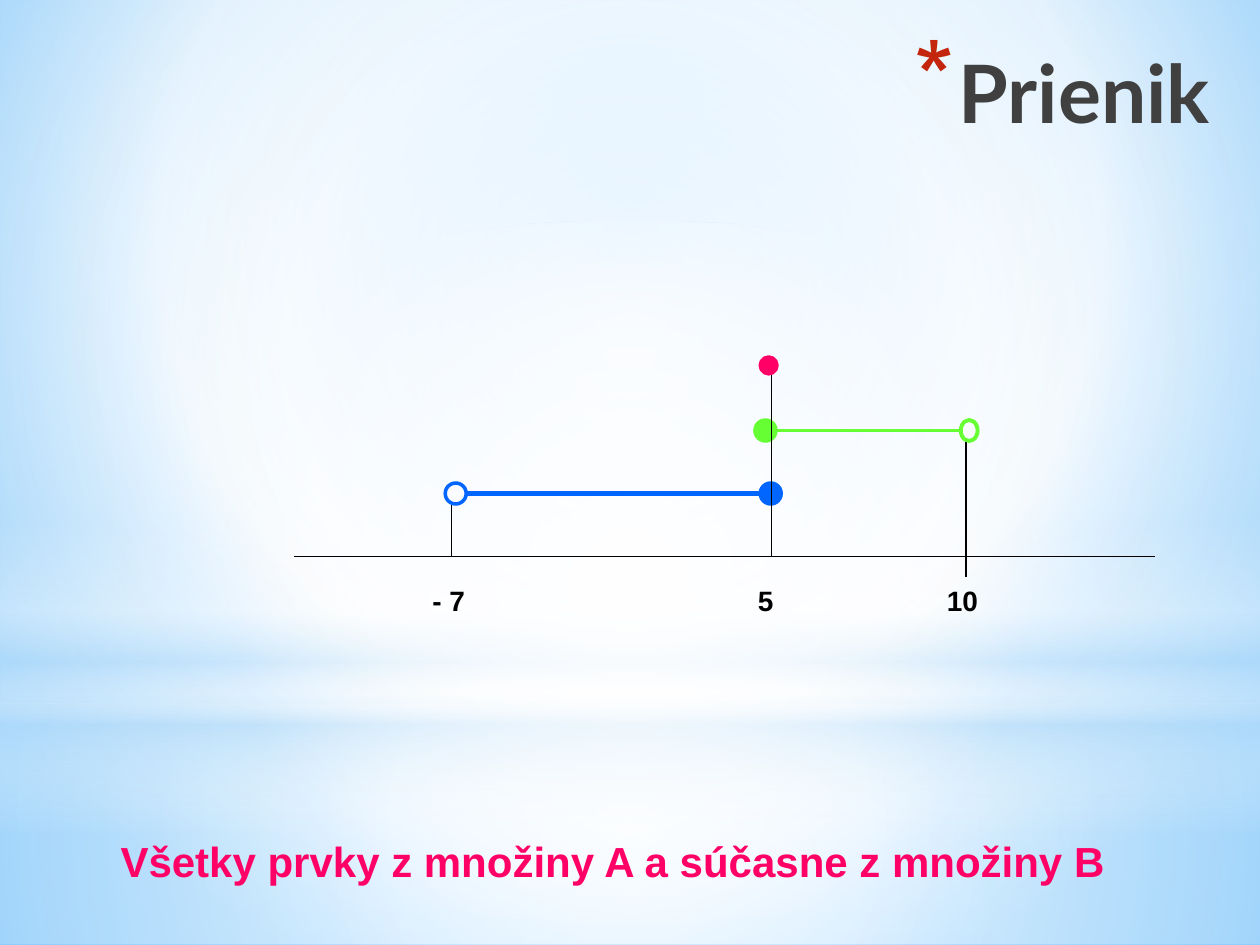
from lxml import etree
from pptx import Presentation
from pptx.dml.color import RGBColor
from pptx.enum.shapes import MSO_CONNECTOR, MSO_SHAPE
from pptx.enum.text import PP_ALIGN
from pptx.oxml.ns import nsdecls, qn
from pptx.oxml import parse_xml
from pptx.util import Inches, Pt

STRAIGHT = MSO_CONNECTOR.STRAIGHT
OVAL, RECTANGLE = MSO_SHAPE.OVAL, MSO_SHAPE.RECTANGLE
LEFT, RIGHT = PP_ALIGN.LEFT, PP_ALIGN.RIGHT
COLORS = {
    "black": "000000", "title": "404040", "bullet": "C3260C",
    "blue": "0066FF", "green": "66FF33", "pink": "FF0066",
    "white": "FFFFFF", "haze": "B4DCFA", "sky": "9ED5FF", "deep": "5BB9FF",
}
# The slide is a grid of 120 columns by 90 rows, twelve to the inch.
COLUMNS, ROWS = 120, 90
CELL = Inches(1) / 12


def grid(*counts):
    """Turn counts of grid cells into lengths."""
    return [round(count * CELL) for count in counts]


def gradient(stops, center=None):
    """Build a gradient from (position, colour, opacity) stops, all in percent.

    It is circular around the center rectangle, or runs downwards without one.
    """
    stop_xml = "".join(
        f'<a:gs pos="{position * 1000}"><a:srgbClr val="{COLORS[color]}">'
        f'<a:alpha val="{opacity * 1000}"/></a:srgbClr></a:gs>'
        for position, color, opacity in stops)
    if center is None:
        course = '<a:lin ang="5400000" scaled="0"/>'
    else:
        sides = " ".join(f'{side}="{share * 1000}"' for side, share in zip("ltrb", center))
        course = f'<a:path path="circle"><a:fillToRect {sides}/></a:path>'
    return parse_xml(f'<a:gradFill {nsdecls("a")} rotWithShape="1">'
                     f'<a:gsLst>{stop_xml}</a:gsLst>{course}</a:gradFill>')


deck = Presentation()
deck.slide_width, deck.slide_height = grid(COLUMNS, ROWS)
slide = deck.slides.add_slide(deck.slide_layouts[6])
shapes = slide.shapes

# Background
slide.background.fill.solid()
solid = next(slide.background._cSld.iter(qn("a:solidFill")))
solid.getparent().replace(solid, gradient(
    [(0, "sky", 100), (60, "white", 100), (100, "deep", 100)], (20, 10, 20, 60)))

middle = (50, 50, 50, 50)
horizon = 67
layers = [
    (RECTANGLE, horizon, ROWS - horizon, middle,
     [(0, "white", 91), (37, "white", 76), (100, "haze", 79)]),
    (RECTANGLE, 0, horizon, middle,
     [(0, "white", 89), (48, "white", 62), (100, "haze", 79)]),
    (RECTANGLE, 49.5, 30, None,
     [(0, "white", 0), (29, "white", 30), (45, "haze", 40),
      (55, "white", 26), (65, "haze", 60), (100, "white", 0)]),
    (OVAL, 21, 67, middle, [(0, "white", 100), (56, "white", 0)]),
]
for kind, top, height, center, stops in layers:
    layer = shapes.add_shape(kind, *grid(0, top, COLUMNS, height))
    layer.shadow.inherit = False
    layer.fill.background()
    no_fill = layer._element.spPr.find(qn("a:noFill"))
    layer._element.spPr.replace(no_fill, gradient(stops, center))
    layer.line.fill.background()

# Number line, intervals and their end points, from back to front
axis = 53
at_minus_7, at_5, at_10 = 43, 73.5, 92
row_a, row_b, row_both = 47, 41, 34
marks = [
    ("line", (28, axis, 110, axis), "black", 0.75),
    ("line", (at_10, row_b + 1, at_10, axis + 2), "black", 0.75),
    ("line", (at_5, row_b + 1, at_5, axis), "black", 0.75),
    ("line", (73, row_b, 91.5, row_b), "green", 2.25),
    ("closed", (71.9, row_b - 1, 2, 2), "green", 2),
    ("open", (91.5, row_b - 1, 1.6, 2), "green", 2.25),
    ("line", (44.4, row_a, at_5, row_a), "blue", 3),
    ("line", (at_minus_7, row_a + 1, at_minus_7, axis), "black", 0.75),
    ("line", (at_5, row_a - 1, at_5, axis), "black", 0.75),
    ("open", (42.4, row_a - 1, 2, 2), "blue", 2),
    ("closed", (72.4, row_a - 1, 2, 2), "blue", 2),
    ("line", (at_5, row_both, at_5, axis), "black", 0.75),
    ("closed", (72.4, row_both, 1.6, 1.6), "pink", 2),
]
for kind, place, color, width in marks:
    rgb = RGBColor.from_string(COLORS[color])
    if kind == "line":
        mark = shapes.add_connector(STRAIGHT, *grid(*place))
        etree.SubElement(mark._element.spPr, qn("a:effectLst"))
    else:
        mark = shapes.add_shape(OVAL, *grid(*place))
        mark.shadow.inherit = False
        if kind == "closed":
            mark.fill.solid()
            mark.fill.fore_color.rgb = rgb
        else:
            mark.fill.background()
    mark.line.color.rgb = rgb
    mark.line.width = Pt(width)

# Texts
label = {"name": "Arial", "size": Pt(16), "bold": True}
texts = [
    ("10", (89, 55, 6, 3), LEFT, "black", label),
    ("- 7", (40, 55, 6, 3), LEFT, "black", label),
    ("5", (71, 55, 6, 3), LEFT, "black", label),
    ("Prienik", (31, 3.5, 85.4, 15), RIGHT, "title", label | {"name": "Lato", "size": Pt(46)}),
    ("Všetky prvky z množiny A a súčasne z množiny B", (10.3, 79, 97.1, 6), LEFT, "pink",
     label | {"size": Pt(24)}),
]
for words, place, alignment, color, font_format in texts:
    box = shapes.add_textbox(*grid(*place))
    box.text_frame.word_wrap = color != "pink"
    para = box.text_frame.paragraphs[0]
    para.alignment = alignment
    if color == "title":
        properties = para._p.get_or_add_pPr()
        properties.set("marL", str(Inches(0.35)))
        properties.set("indent", str(-Inches(0.35)))
        bullet_color = etree.SubElement(properties, qn("a:buClr"))
        etree.SubElement(bullet_color, qn("a:srgbClr"), val=COLORS["bullet"])
        etree.SubElement(properties, qn("a:buSzPct"), val="128000")
        etree.SubElement(properties, qn("a:buChar"), char="*")
    span = para.add_run()
    span.text = words
    for attribute, value in font_format.items():
        setattr(span.font, attribute, value)
    span.font.color.rgb = RGBColor.from_string(COLORS[color])

deck.save("out.pptx")
